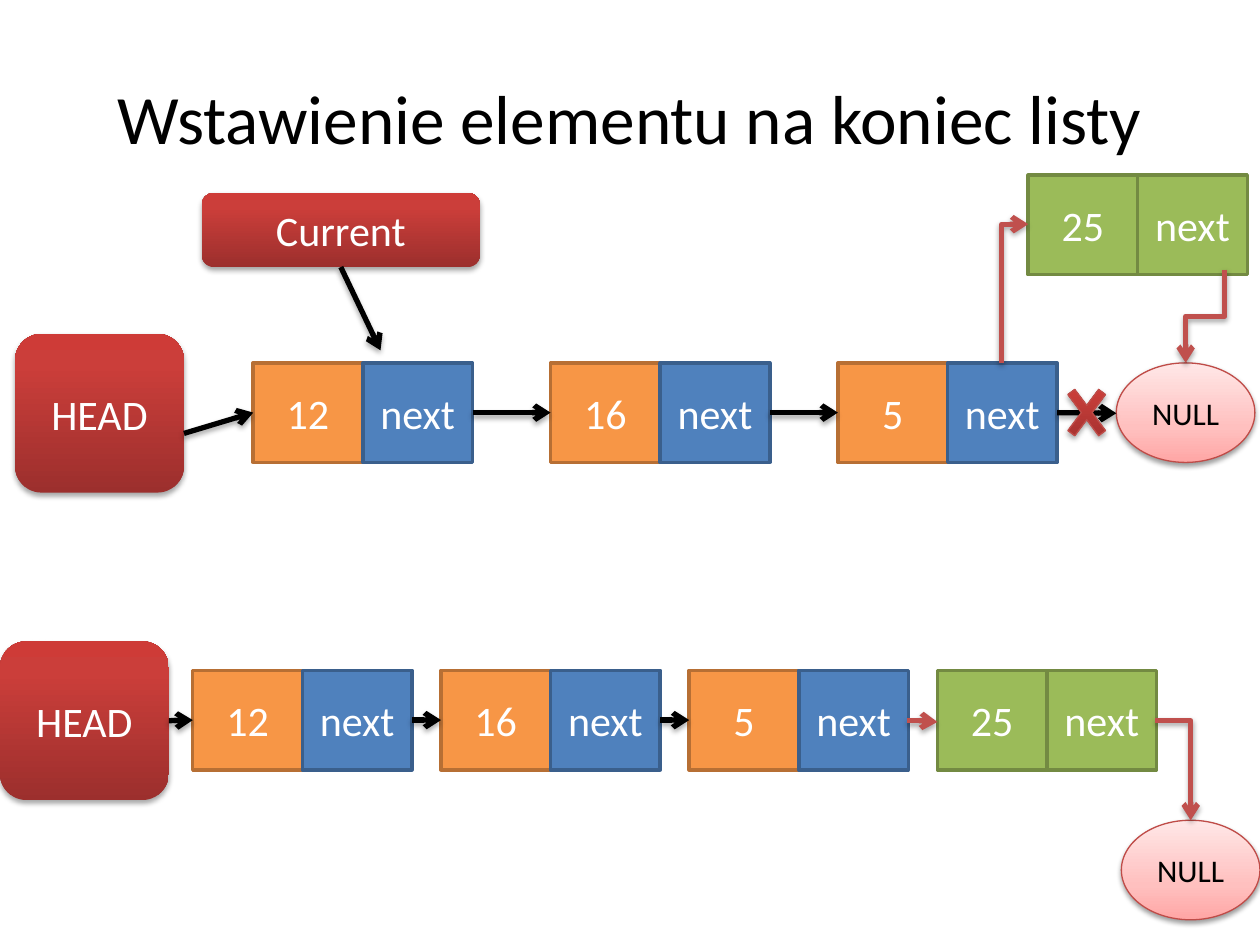
from copy import deepcopy

from pptx import Presentation
from pptx.dml.color import RGBColor
from pptx.enum.shapes import MSO_CONNECTOR, MSO_SHAPE
from pptx.enum.text import MSO_ANCHOR, MSO_AUTO_SIZE, PP_ALIGN
from pptx.oxml import parse_xml
from pptx.oxml.ns import nsdecls, qn
from pptx.util import Inches, Pt

RECT, ROUNDED = MSO_SHAPE.RECTANGLE, MSO_SHAPE.ROUNDED_RECTANGLE
OVAL, CROSS = MSO_SHAPE.OVAL, MSO_SHAPE.MATH_MULTIPLY
STRAIGHT, ELBOW = MSO_CONNECTOR.STRAIGHT, MSO_CONNECTOR.ELBOW
TOP, LEFT, BOTTOM, RIGHT = range(4)

RED_FADE = [(0, "9C2F2D"), (0.8, "CB3E3A"), (1, "CE3B37")]
PINK_FADE = [(0, "FFA6A5"), (0.35, "FFC0BF"), (1, "FFE7E7")]
THEME = {
    "font": "Calibri", "title_size": 39.6, "title_color": "000000",
    "arrow": "000000", "new_arrow": "C0504D", "arrow_width": 3,
    "value": {"fill": "F79646", "line": ("B76F34", 2), "text": "FFFFFF", "size": 24},
    "next": {"fill": "4F81BD", "line": ("3A5F8C", 2), "text": "FFFFFF", "size": 24},
    "new": {"fill": "9BBB59", "line": ("738A42", 2), "text": "FFFFFF", "size": 24},
    "pointer": {"fade": RED_FADE, "shadow": 35, "text": "FFFFFF", "size": 24},
    "null": {"fade": PINK_FADE, "line": ("BF4C48", 0.75), "shadow": 38,
             "text": "000000", "size": 18},
    "cross": {"fade": RED_FADE, "line": ("BF4C48", 0.75), "shadow": 35,
              "text": "FFFFFF", "size": 24},
}
SHADOW = (
    f'<a:outerShdw {nsdecls("a")} blurRad="39370" dist="22860" dir="5400000" rotWithShape="0">'
    '<a:srgbClr val="000000"><a:alpha val="{}000"/></a:srgbClr></a:outerShdw>'
)
CELL_W, CELL_H = 0.87, 0.79


def add_block(shapes, kind, style, label, x, y, width, height):
    look = THEME[style]
    block = shapes.add_shape(kind, Inches(x), Inches(y), Inches(width), Inches(height))
    properties = block._element.spPr
    if "fade" in look:
        block.fill.gradient()
        block.fill.gradient_angle = 90
        stop_list = properties.find(".//" + qn("a:gsLst"))
        stop_list.append(deepcopy(stop_list[0]))
        for stop, (position, color) in zip(block.fill.gradient_stops, look["fade"]):
            stop.position = position
            stop.color.rgb = RGBColor.from_string(color)
    else:
        block.fill.solid()
        block.fill.fore_color.rgb = RGBColor.from_string(look["fill"])
    if "line" in look:
        color, width_pt = look["line"]
        block.line.color.rgb = RGBColor.from_string(color)
        block.line.width = Pt(width_pt)
    else:
        block.line.fill.background()
    block.shadow.inherit = False
    if "shadow" in look:
        properties.find(qn("a:effectLst")).append(parse_xml(SHADOW.format(look["shadow"])))
    if label:
        block.text_frame.vertical_anchor = MSO_ANCHOR.MIDDLE
        para = block.text_frame.paragraphs[0]
        para.alignment = PP_ALIGN.CENTER
        span = para.add_run()
        span.text = label
        for name, value in {"name": THEME["font"], "size": Pt(look["size"])}.items():
            setattr(span.font, name, value)
        span.font.color.rgb = RGBColor.from_string(look["text"])
    return block


def add_arrow(start, end, color="arrow", bend=None, upright=False, source=None, target=None):
    """bend names an elbow preset; an upright elbow leaves its start vertically.

    source and target are (block, side) pairs to join.
    """
    if upright:
        # A quarter turn about the midpoint swaps the two spans.
        mid_x, mid_y = (start[0] + end[0]) / 2, (start[1] + end[1]) / 2
        half_x, half_y = (end[1] - start[1]) / 2, (start[0] - end[0]) / 2
        start, end = (mid_x - half_x, mid_y - half_y), (mid_x + half_x, mid_y + half_y)
    arrow = slide.shapes.add_connector(
        ELBOW if bend else STRAIGHT, *[Inches(value) for value in (*start, *end)])
    if source:
        arrow.begin_connect(*source)
    if target:
        arrow.end_connect(*target)
    arrow.line.color.rgb = RGBColor.from_string(THEME[color])
    arrow.line.width = Pt(THEME["arrow_width"])
    properties = arrow._element.spPr
    if bend:
        properties.find(qn("a:prstGeom")).set("prst", bend)
    if upright:
        properties.find(qn("a:xfrm")).set("rot", "5400000")
    properties.find(qn("a:ln")).append(parse_xml(f'<a:tailEnd {nsdecls("a")} type="arrow"/>'))
    effects = parse_xml(f'<a:effectLst {nsdecls("a")}/>')
    effects.append(parse_xml(SHADOW.format(35)))
    properties.append(effects)


deck = Presentation()
deck.slide_width, deck.slide_height = Inches(10), Inches(7.5)
slide = deck.slides.add_slide(deck.slide_layouts[5])

title = slide.shapes.title
for name, value in {"left": 0.5, "top": 0.3, "width": 9, "height": 1.25}.items():
    setattr(title, name, Inches(value))
title.text_frame.auto_size = MSO_AUTO_SIZE.NONE
title.text_frame.vertical_anchor = MSO_ANCHOR.MIDDLE
para = title.text_frame.paragraphs[0]
para.alignment = PP_ALIGN.CENTER
span = para.add_run()
span.text = "Wstawienie elementu na koniec listy"
for name, value in {"name": THEME["font"], "size": Pt(THEME["title_size"])}.items():
    setattr(span.font, name, value)
span.font.color.rgb = RGBColor.from_string(THEME["title_color"])

# The list before (upper row) and after (lower row) the insertion
rows = [
    {"y": 2.88, "head_x": 0.12, "node_x": [2.01, 4.37, 6.65], "head_exit": (1.46, 3.44)},
    {"y": 5.32, "head_x": 0, "node_x": [1.53 + 1.97 * i for i in range(3)], "head_exit": None},
]
for row in rows:
    y, middle = row["y"], row["y"] + CELL_H / 2
    head = add_block(slide.shapes, ROUNDED, "pointer", "HEAD", row["head_x"], y - 0.23, 1.34, 1.26)
    start = row["head_exit"] or (row["head_x"] + 1.34, middle)
    source = None if row["head_exit"] else (head, RIGHT)
    for x, label in zip(row["node_x"], ["12", "16", "5"]):
        value_cell = add_block(slide.shapes, RECT, "value", label, x, y, CELL_W, CELL_H)
        next_cell = add_block(slide.shapes, RECT, "next", "next", x + CELL_W, y, CELL_W, CELL_H)
        add_arrow(start, (x, middle), source=source, target=(value_cell, LEFT))
        start, source = (x + 2 * CELL_W, middle), (next_cell, RIGHT)
    row["last_next"] = source

# The inserted node, detached and then in its place
for x, y in [(8.16, 1.39), (7.44, 5.32)]:
    node = slide.shapes.add_group_shape()
    for i, label in enumerate(["25", "next"]):
        add_block(node.shapes, RECT, "new", label, x + i * CELL_W, y, CELL_W, CELL_H)
for x, y in [(8.86, 2.88), (8.9, 6.51)]:
    add_block(slide.shapes, OVAL, "null", "NULL", x, y, 1.1, CELL_H)

# The old link is crossed out
add_arrow((8.39, 3.28), (8.86, 3.28), source=rows[0]["last_next"])
cross = add_block(slide.shapes, CROSS, "cross", "", 8.39, 2.96, 0.47, 0.63)
cross.adjustments[0] = 0.145

# New links
for start, end, bend, upright in [
    ((7.95, 2.88), (8.16, 1.78), "bentConnector2", True),
    ((9.72, 2.14), (9.41, 2.88), "bentConnector3", True),
    ((7.2, 5.72), (7.44, 5.73), "bentConnector3", False),
    ((9.17, 5.72), (9.45, 6.51), "bentConnector2", False),
]:
    add_arrow(start, end, "new_arrow", bend, upright)

current = add_block(slide.shapes, ROUNDED, "pointer", "Current", 1.6, 1.53, 2.21, 0.59)
add_arrow((2.71, 2.12), (3.02, 2.78), source=(current, BOTTOM))

deck.save("out.pptx")
